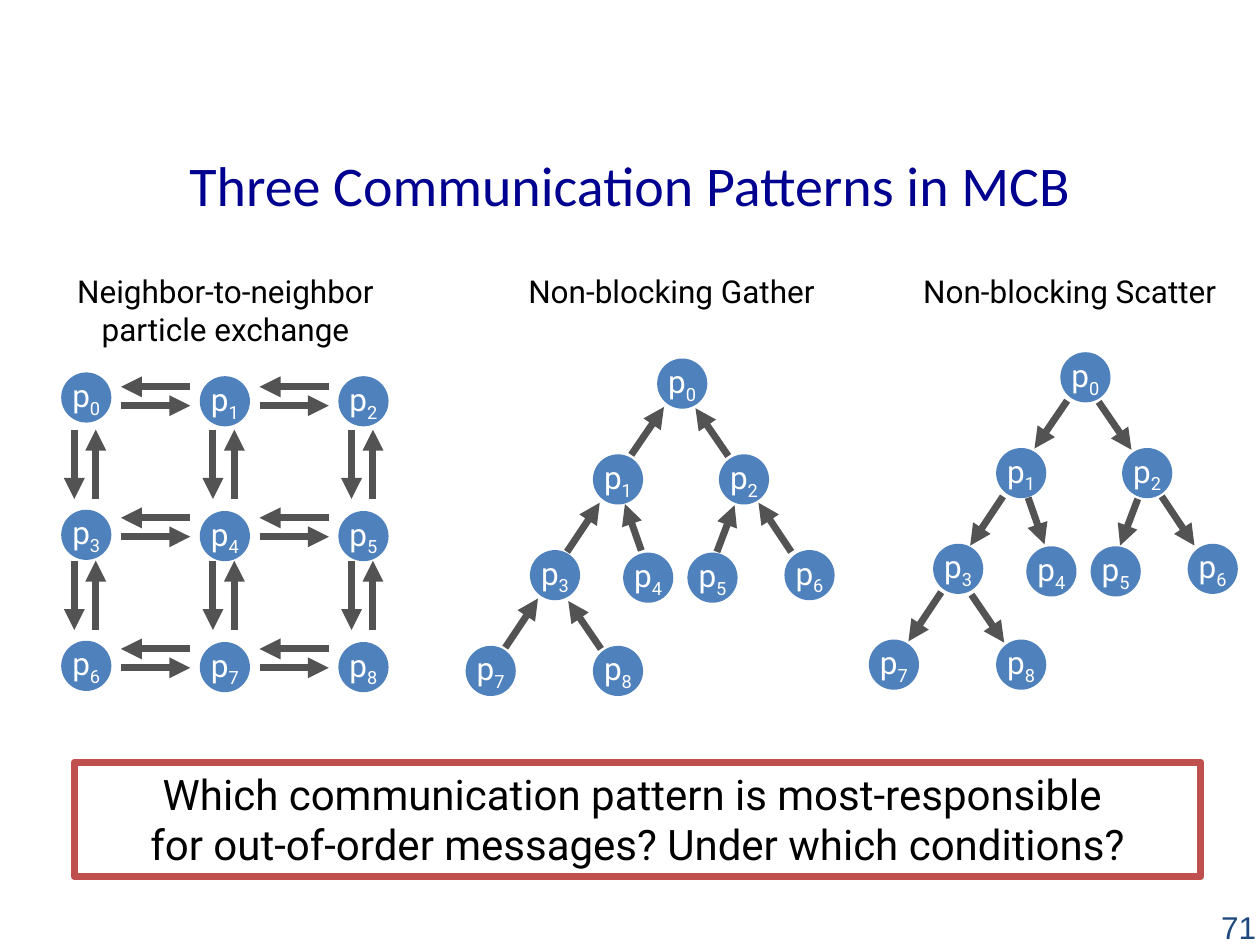
import pptx
import pptx.dml.color
import pptx.enum.shapes
import pptx.enum.text
import pptx.oxml
import pptx.oxml.ns
import pptx.util
from lxml import etree
from pptx.util import Inches

RGBColor = pptx.dml.color.RGBColor
ALIGN = pptx.enum.text.PP_ALIGN
ANCHOR = pptx.enum.text.MSO_ANCHOR
SHAPE = pptx.enum.shapes.MSO_SHAPE

NAVY = RGBColor(0x00, 0x00, 0x90)
BLUE = RGBColor(0x4F, 0x81, 0xBD)
GRAY = RGBColor(0x53, 0x53, 0x53)
RED = RGBColor(0xC0, 0x50, 0x4D)
SLATE = RGBColor(0x1F, 0x49, 0x7D)
BLACK = RGBColor(0, 0, 0)
WHITE = RGBColor(0xFF, 0xFF, 0xFF)

NODE_SIZE = 0.37
TREE_NODES = [(5.23, 2.86), (4.72, 3.62), (5.72, 3.62), (4.22, 4.38), (4.96, 4.4),
              (5.47, 4.4), (6.24, 4.38), (3.71, 5.14), (4.72, 5.14)]
TREE_EDGES = [(5.01, 3.61, 5.27, 3.23), (5.78, 3.62, 5.52, 3.24),
              (4.5, 4.38, 4.76, 3.99), (5.09, 4.37, 4.96, 4),
              (6.28, 4.38, 6.02, 3.99), (5.69, 4.38, 5.83, 4.01),
              (4.01, 5.14, 4.27, 4.75), (4.77, 5.15, 4.51, 4.77)]


class Deck:
    def __init__(self, s, font="Roboto", size=18, color=BLACK, margin=0.05):
        self.s = s
        self.font = {"name": font, "size": pptx.util.Pt(size)}
        self.color = color
        self.margin = margin

    def frame(self, sp, anchor, margin, wrap=True):
        values = {"vertical_anchor": anchor, "word_wrap": wrap}
        for side in ("left", "top", "right", "bottom"):
            values["margin_" + side] = Inches(margin)
        for name, value in values.items():
            setattr(sp.text_frame, name, value)
        return sp.text_frame.paragraphs[0]

    def add_run(self, p, text, **changes):
        r = p.add_run()
        r.text = text
        for name, value in {**self.font, **changes}.items():
            if name == "color":
                r.font.color.rgb = value
            else:
                setattr(r.font, name, value)
        return r

    def fill_text(self, sp, text, align=ALIGN.CENTER, anchor=ANCHOR.TOP, **changes):
        p = self.frame(sp, anchor, self.margin)
        p.alignment = align
        for i, line in enumerate(text.split("\n")):
            if i:
                p.add_line_break()
            self.add_run(p, line, **{"color": self.color, **changes})

    def title(self, text, x, y, w, h):
        sp = self.s.shapes.title
        for name, value in {"left": x, "top": y, "width": w, "height": h}.items():
            setattr(sp, name, Inches(value))
        self.fill_text(sp, text, anchor=ANCHOR.MIDDLE, name="Calibri",
                       size=pptx.util.Pt(32), color=NAVY)

    def text(self, text, x, y, w, h, **changes):
        sp = self.s.shapes.add_textbox(Inches(x), Inches(y), Inches(w), Inches(h))
        self.fill_text(sp, text, **changes)

    def shape(self, shapes, kind, x, y, w, h, line, width, fill=None):
        sp = shapes.add_shape(kind, Inches(x), Inches(y), Inches(w), Inches(h))
        sp.shadow.inherit = False
        if fill is None:
            sp.fill.background()
        else:
            sp.fill.solid()
            sp.fill.fore_color.rgb = fill
        sp.line.color.rgb = line
        sp.line.width = pptx.util.Pt(width)
        return sp

    def box(self, text, x, y, w, h, size):
        sp = self.shape(self.s.shapes, SHAPE.RECTANGLE, x, y, w, h, RED, 4)
        self.fill_text(sp, text, size=pptx.util.Pt(size))

    def node(self, group, number, x, y):
        sp = self.shape(group.shapes, SHAPE.OVAL, x, y, NODE_SIZE, NODE_SIZE, BLUE, 2, BLUE)
        p = self.frame(sp, ANCHOR.MIDDLE, 0, wrap=False)
        p.alignment = ALIGN.CENTER
        self.add_run(p, "p", color=WHITE)
        r = self.add_run(p, str(number), color=WHITE)
        r._r.get_or_add_rPr().set("baseline", "-25000")

    def arrow(self, group, x1, y1, x2, y2, end="a:tailEnd"):
        c = group.shapes.add_connector(pptx.enum.shapes.MSO_CONNECTOR.STRAIGHT,
                                       Inches(x1), Inches(y1), Inches(x2), Inches(y2))
        c.line.color.rgb = GRAY
        c.line.width = pptx.util.Pt(4)
        qn = pptx.oxml.ns.qn
        etree.SubElement(c.line._get_or_add_ln(), qn(end), type="triangle")
        etree.SubElement(c._element.spPr, qn("a:effectLst"))

    def grid(self):
        group = self.s.shapes.add_group_shape()
        for row, top in enumerate((3, 4.07, 5.11)):
            for col in range(3):
                lift = (0.03 if row == 0 else 0.01) if col == 0 else 0
                self.node(group, 3 * row + col, 0.5 + 1.1 * col, top - lift)
        for i in range(3):
            for j in range(2):
                x, y = 0.96 + 1.1 * j, 3.07 + 1.04 * i
                self.arrow(group, x + 0.55, y, x, y)
                self.arrow(group, x, y + 0.15, x + 0.55, y + 0.15)
                x, y = 0.59 + 1.1 * i, 3.41 + 1.04 * j
                self.arrow(group, x + 0.17, y + 0.55, x + 0.17, y)
                self.arrow(group, x, y, x, y + 0.55)

    def tree(self, dx, dy, end):
        group = self.s.shapes.add_group_shape()
        for number, (x, y) in enumerate(TREE_NODES):
            self.node(group, number, x + dx, y + dy)
        for x1, y1, x2, y2 in TREE_EDGES:
            self.arrow(group, x1 + dx, y1 + dy, x2 + dx, y2 + dy, end)


def main():
    prs = pptx.Presentation()
    prs.slide_width = Inches(10)
    prs.slide_height = Inches(7.5)
    deck = Deck(prs.slides.add_slide(prs.slide_layouts[5]))
    deck.title("Three Communication Patterns in MCB", 0.5, 0.92, 9, 1.08)
    deck.grid()
    deck.tree(0, 0, "a:tailEnd")
    deck.tree(3.2, -0.05, "a:headEnd")
    deck.text("Neighbor-to-neighbor\nparticle exchange", 0.39, 2.11, 2.8, 0.71)
    deck.text("Non-blocking Gather", 3.93, 2.11, 2.8, 0.4)
    deck.text("Non-blocking Scatter", 7.09, 2.11, 2.8, 0.4)
    deck.box("Which communication pattern is most-responsible \n"
             "for out-of-order messages? Under which conditions?", 0.59, 6.05, 8.94, 0.91, 24)
    deck.text("71", 7.69, 7.16, 2.33, 0.4, align=ALIGN.RIGHT, anchor=ANCHOR.MIDDLE,
              name="Arial", color=SLATE)
    prs.save("out.pptx")


if __name__ == "__main__":
    main()
